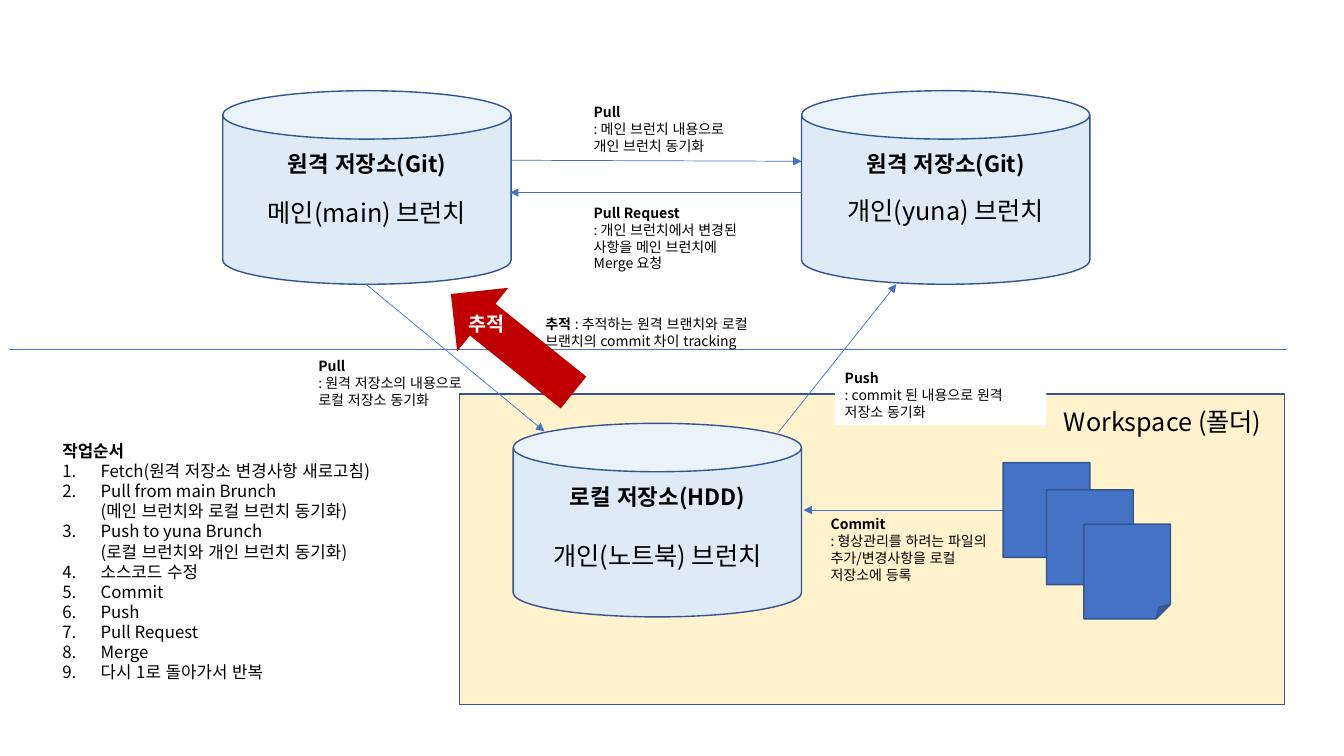
from lxml import etree
from pptx import Presentation
from pptx.dml.color import RGBColor
from pptx.enum.lang import MSO_LANGUAGE_ID
from pptx.enum.shapes import MSO_CONNECTOR, MSO_SHAPE
from pptx.enum.text import MSO_AUTO_SIZE, PP_ALIGN
from pptx.oxml.ns import qn
from pptx.util import Inches, Pt

LEFT, CENTER, RIGHT = PP_ALIGN.LEFT, PP_ALIGN.CENTER, PP_ALIGN.RIGHT
CAN, RECT = MSO_SHAPE.CAN, MSO_SHAPE.RECTANGLE
PAGE, ARROW = MSO_SHAPE.FOLDED_CORNER, MSO_SHAPE.RIGHT_ARROW
STRAIGHT = MSO_CONNECTOR.STRAIGHT
FIT_TEXT = MSO_AUTO_SIZE.SHAPE_TO_FIT_TEXT
KOREAN = MSO_LANGUAGE_ID.KOREAN

FONT = "Noto Sans CJK KR"
BLACK, WHITE, RED = "000000", "FFFFFF", "C00000"
BLUE, OUTLINE = "4472C4", "325491"
PALE_BLUE, PALE_YELLOW = "DEEBF7", "FFF2CC"

# Repositories share one size; their positions are (column, row)
REPO_W, REPO_H = 28.6, 19.2
MAIN, PERSONAL, LOCAL = (22.1, 9), (79.5, 9), (50.9, 42)
NOTE_W = 17.7

STEPS = (
    "Fetch(원격 저장소 변경사항 새로고침)",
    "Pull from main Brunch\n(메인 브런치와 로컬 브런치 동기화)",
    "Push to yuna Brunch\n(로컬 브런치와 개인 브런치 동기화)",
    "소스코드 수정",
    "Commit",
    "Push",
    "Pull Request",
    "Merge",
    "다시 1로 돌아가서 반복",
)


def grid(*cells):
    """Columns and rows are a tenth of an inch each."""
    return [Inches(cell / 10) for cell in cells]


def rgb(color):
    return RGBColor.from_string(color)


def add_block(slide, kind, box, fill, outline=None, rotation=0):
    block = slide.shapes.add_shape(kind, *grid(*box))
    block.shadow.inherit = False
    block.rotation = rotation
    block.fill.solid()
    block.fill.fore_color.rgb = rgb(fill)
    if outline:
        block.line.color.rgb = rgb(outline)
        block.line.width = Pt(1)
    else:
        block.line.fill.background()
    return block


def add_line(slide, start, end, arrow=True):
    line = slide.shapes.add_connector(STRAIGHT, *grid(*start, *end))
    line.line.color.rgb = rgb(BLUE)
    line.line.width = Pt(0.5)
    if arrow:
        etree.SubElement(line.line._get_or_add_ln(), qn("a:tailEnd"), type="triangle")
    etree.SubElement(line._element.spPr, qn("a:effectLst"))


def add_run(paragraph, text, size, color, bold):
    for index, part in enumerate(text.split("\n")):
        if index:
            paragraph.add_line_break()
        run = paragraph.add_run()
        run.text = part
        font = run.font
        font.name, font.size, font.bold = FONT, Pt(size), bold
        font.color.rgb = rgb(color)
        font.language_id = KOREAN
        latin = font._element.find(qn("a:latin"))
        latin.addnext(etree.Element(qn("a:ea"), typeface=FONT))


def number(paragraph):
    properties = paragraph._p.get_or_add_pPr()
    indent = Inches(0.38)
    properties.set("marL", str(indent))
    properties.set("indent", str(-indent))
    etree.SubElement(properties, qn("a:buFont"), typeface="+mj-lt")
    etree.SubElement(properties, qn("a:buAutoNum"), type="arabicPeriod")


def write_text(holder, heading="", body=(), size=10, body_size=None, color=BLACK,
               align=LEFT, gap=0, inline=False, numbered=False):
    """A bold heading, then plain paragraphs; inline puts both on one line."""
    frame = holder.text_frame
    frame.word_wrap = True
    frame.auto_size = FIT_TEXT
    paragraph = frame.paragraphs[0]
    paragraph.alignment = align
    if heading:
        add_run(paragraph, heading, size, color, True)
    for index, text in enumerate(body):
        if index or (heading and not inline):
            paragraph = frame.add_paragraph()
            paragraph.alignment = align
            paragraph.space_before = Pt(gap)
        if numbered:
            number(paragraph)
        add_run(paragraph, text, body_size or size, color, False)


def add_label(slide, box, *text, **style):
    write_text(slide.shapes.add_textbox(*grid(*box)), *text, **style)


def add_repository_labels(slide, repository, title, branch, branch_row):
    column, row = repository
    add_label(slide, (column, row + 5.4, REPO_W, 3.7), title, size=16, align=CENTER)
    add_label(slide, (column, branch_row, REPO_W, 4), body=(branch,),
              size=18, align=CENTER)


def main():
    deck = Presentation()
    deck.slide_width, deck.slide_height = Inches(13.33), Inches(7.5)
    slide = deck.slides.add_slide(deck.slide_layouts[6])

    # Remote and local zones
    add_line(slide, (0.9, 34.7), (127.6, 34.7), arrow=False)
    add_block(slide, RECT, (45.6, 39.1, 81.8, 30.8), PALE_YELLOW, OUTLINE)
    add_label(slide, (98.6, 39.8, 27.5, 4), body=("Workspace (폴더)",),
              size=18, align=RIGHT)

    # Repositories
    for repository in (MAIN, PERSONAL, LOCAL):
        add_block(slide, CAN, (*repository, REPO_W, REPO_H), PALE_BLUE, OUTLINE)
    add_repository_labels(slide, MAIN, "원격 저장소(Git)", "메인(main) 브런치", 19.1)
    add_repository_labels(slide, PERSONAL, "원격 저장소(Git)", "개인(yuna) 브런치", 18.9)
    add_label(slide, (LOCAL[0], 47.4, REPO_W, 13.1), "로컬 저장소(HDD)",
              ("개인(노트북) 브런치",), size=16, body_size=18, align=CENTER, gap=22)

    # Transfers between the repositories and the files
    for start, end in (
        ((77.2, 42.9), (88.9, 28.2)),
        ((50.6, 15.9), (79.5, 16)),
        ((36.3, 28.2), (54, 42.8)),
        ((79.5, 19.1), (50.6, 19.1)),
        ((99.5, 50.6), (79.7, 50.6)),
    ):
        add_line(slide, start, end)

    # Working files
    for column, row in ((99.5, 45.9), (103.8, 48.6), (107.5, 52)):
        add_block(slide, PAGE, (column, row, 8.6, 9.4), BLUE, OUTLINE)

    # Tracking arrow
    add_block(slide, ARROW, (43, 30, 15.6, 8.1), RED, rotation=218.8)
    add_label(slide, (45.5, 30.5, 8.3, 3.4), "추적", size=14, color=WHITE)
    add_label(slide, (53.1, 30.8, 25, 4.4), "추적 ",
              (": 추적하는 원격 브랜치와 로컬 브랜치의 commit 차이 tracking",), inline=True)

    # Notes on each transfer
    push_note = add_block(slide, RECT, (82.8, 36.1, 21, 6.1), WHITE)
    write_text(push_note, "Push", (": commit 된 내용으로 원격 저장소 동기화",))
    for column, row, height, command, meaning in (
        (57.9, 9.8, 6.1, "Pull", (": 메인 브런치 내용으로 개인 브런치 동기화",)),
        (57.9, 19.8, 7.7, "Pull Request",
         (": 개인 브런치에서 변경된 사항을 메인 브런치에 ", "Merge 요청")),
        (30.6, 35, 6.1, "Pull", (": 원격 저장소의 내용으로 로컬 저장소 동기화",)),
        (81.4, 50.7, 7.7, "Commit",
         (": 형상관리를 하려는 파일의 추가/변경사항을 로컬 저장소에 등록",)),
    ):
        add_label(slide, (column, row, NOTE_W, height), command, meaning)

    # Order of work
    add_label(slide, (5.2, 43.2, 40, 25.2), "작업순서", STEPS, size=12, numbered=True)

    deck.save("out.pptx")


main()
